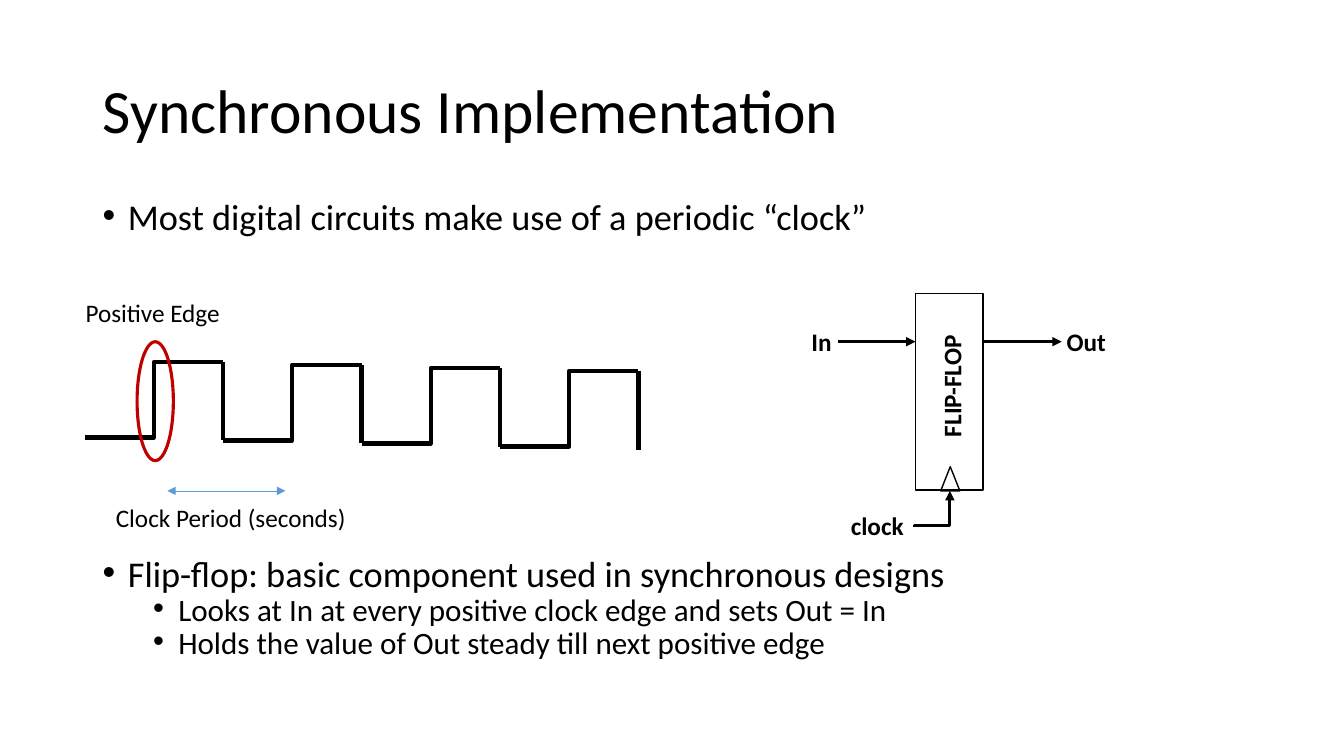
"""Build the slide on synchronous implementation, with a clock wave and a flip-flop."""
from lxml import etree
from pptx import Presentation
from pptx.dml.color import RGBColor
from pptx.enum.shapes import MSO_CONNECTOR, MSO_SHAPE
from pptx.enum.text import MSO_ANCHOR
from pptx.oxml.ns import qn
from pptx.util import Inches, Pt

STRAIGHT, ELBOW = MSO_CONNECTOR.STRAIGHT, MSO_CONNECTOR.ELBOW
RECT, OVAL = MSO_SHAPE.RECTANGLE, MSO_SHAPE.OVAL
WEDGE = MSO_SHAPE.ISOSCELES_TRIANGLE
MIDDLE = MSO_ANCHOR.MIDDLE
BLACK = RGBColor(0, 0, 0)
RED = RGBColor(0xC0, 0, 0)
BLUE = RGBColor(0x5B, 0x9B, 0xD5)
FONT = "Calibri"

TITLE = "Synchronous Implementation"
# text, size, left margin, space before
BULLETS = [
    ("Most digital circuits make use of a periodic “clock”", 25.9, 0.25, 0),
    ("Flip-flop: basic component used in synchronous designs", 25.9, 0.25, 233),
    ("Looks at In at every positive clock edge and sets Out = In", 22.2, 0.75, 5),
    ("Holds the value of Out steady till next positive edge", 22.2, 0.75, 5),
]
# text, left, top, width, bold, turn
LABELS = [
    ("FLIP-FLOP", 8.82, 3.62, 1.23, True, 270),
    ("clock", 8.34, 5.01, 0.73, True, 0),
    ("In", 7.95, 3.19, 0.4, True, 0),
    ("Out", 10.48, 3.19, 0.59, True, 0),
    ("Clock Period (seconds)", 1.05, 4.93, 2.51, False, 0),
    ("Positive Edge", 0.75, 2.9, 1.55, False, 0),
]
SHAPES = [
    (RECT, 9.08, 2.91, 0.67, 1.95, BLACK, 1),
    (WEDGE, 9.33, 4.63, 0.19, 0.24, BLACK, 1),
]
EDGE = (OVAL, 1.36, 3.39, 0.36, 1.18, RED, 2.25)
ARROWS = [
    ((8.31, 3.39, 9.08, 3.39), BLACK, 2.25, ["tailEnd"]),
    ((9.76, 3.39, 10.53, 3.39), BLACK, 2.25, ["tailEnd"]),
    ((1.66, 4.87, 2.83, 4.87), BLUE, 0.5, ["headEnd", "tailEnd"]),
]
CLOCK = (9.42, 5.22, 9.07, 4.87)
CYCLES, PERIOD, DRIFT = 4, 1.373, 0.03
LEFT, HIGH, RISE, FALL = 0.84, 3.59, 0.75, 0.78


def add_text(slide, left, top, width, height):
    box = slide.shapes.add_textbox(*map(Inches, (left, top, width, height)))
    box.text_frame.word_wrap = True
    return box


def set_font(para, size, bold=False):
    font = para.font
    font.name, font.size, font.bold = FONT, Pt(size), bold
    font.color.rgb = BLACK


def add_body(slide):
    frame = add_text(slide, 0.92, 2, 11.5, 4.76).text_frame
    for i, (text, size, margin, gap) in enumerate(BULLETS):
        para = frame.add_paragraph() if i else frame.paragraphs[0]
        para.text = text
        para.level = int(margin > 0.5)
        para.line_spacing = 0.7
        para.space_before = Pt(gap)
        props = para._p.get_or_add_pPr()
        props.set("marL", str(Inches(margin)))
        props.set("indent", str(Inches(-0.25)))
        etree.SubElement(props, qn("a:buFont"), typeface="Arial")
        etree.SubElement(props, qn("a:buChar"), char="•")
        set_font(para, size)


def add_label(slide, text, left, top, width, bold, turn):
    box = add_text(slide, left, top, width, 0.4)
    box.rotation = turn
    box.text_frame.word_wrap = False
    para = box.text_frame.paragraphs[0]
    para.text = text
    set_font(para, 18, bold)


def add_outline(slide, kind, left, top, width, height, color, weight):
    shape = slide.shapes.add_shape(kind, *map(Inches, (left, top, width, height)))
    shape.shadow.inherit = False
    shape.fill.background()
    shape.line.color.rgb = color
    shape.line.width = Pt(weight)


def add_line(slide, ends, color=BLACK, weight=3, heads=(), kind=STRAIGHT):
    line = slide.shapes.add_connector(kind, *map(Inches, ends))
    line.line.color.rgb = color
    line.line.width = Pt(weight)
    for head in heads:
        etree.SubElement(line.line._get_or_add_ln(), qn("a:" + head), type="triangle")
    etree.SubElement(line._element.spPr, qn("a:effectLst"))
    return line


def add_clock(slide):
    props = add_line(slide, CLOCK, BLACK, 2.25, ["tailEnd"], ELBOW)._element.spPr
    props.find(qn("a:xfrm")).set("rot", str(90 * 60000))
    bends = props.find(qn("a:prstGeom")).find(qn("a:avLst"))
    etree.SubElement(bends, qn("a:gd"), name="adj1", fmla="val 1200")


def add_wave(slide):
    for i in range(CYCLES):
        start, top = LEFT + i * PERIOD, HIGH + i * DRIFT
        end = start + PERIOD
        add_line(slide, (start, top + RISE, end, top), kind=ELBOW)
        add_line(slide, (end, top, end, top + FALL))


def main():
    deck = Presentation()
    deck.slide_width, deck.slide_height = Inches(13.33), Inches(7.5)
    slide = deck.slides.add_slide(deck.slide_layouts[6])
    title = add_text(slide, 0.92, 0.4, 11.5, 1.45).text_frame
    title.vertical_anchor = MIDDLE
    para = title.paragraphs[0]
    para.text = TITLE
    para.line_spacing = 0.9
    set_font(para, 44)
    add_body(slide)
    for shape in SHAPES:
        add_outline(slide, *shape)
    for arrow in ARROWS:
        add_line(slide, *arrow)
    add_clock(slide)
    add_wave(slide)
    add_outline(slide, *EDGE)
    for label in LABELS:
        add_label(slide, *label)
    deck.save("out.pptx")


if __name__ == "__main__":
    main()
